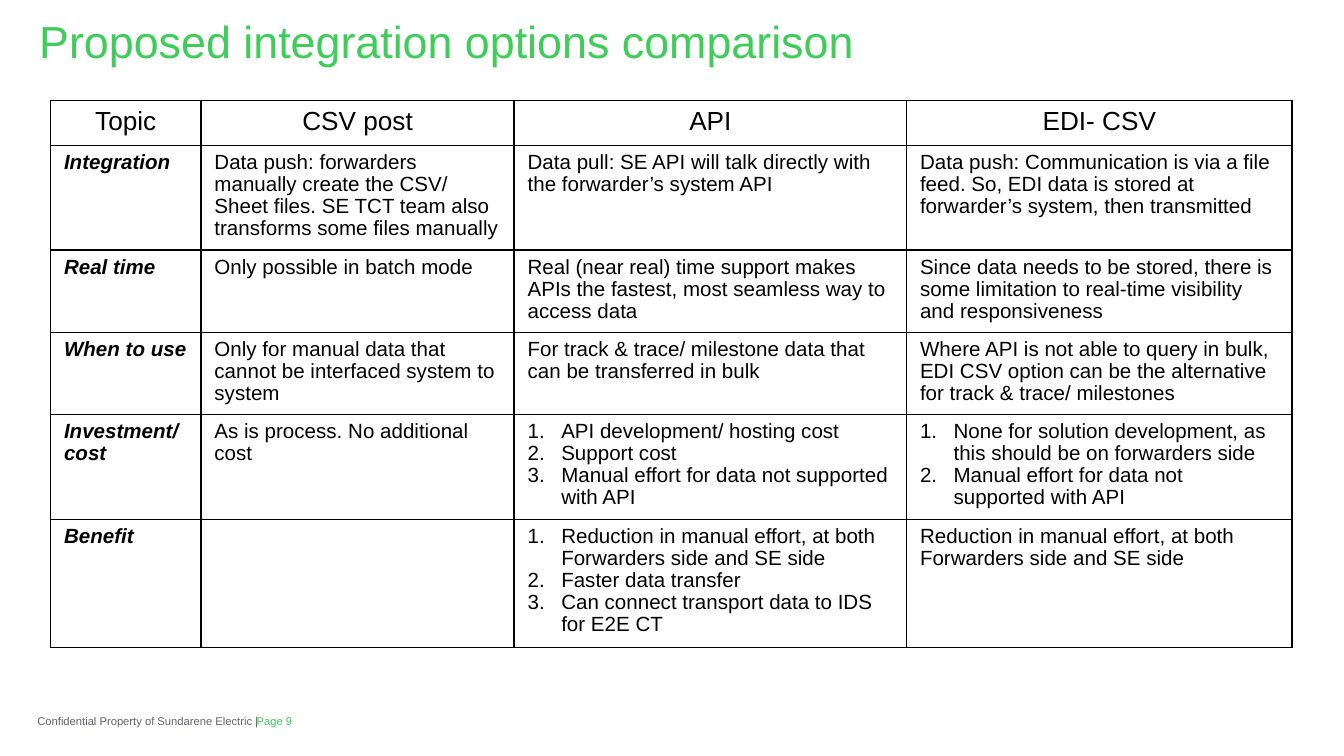
from dataclasses import dataclass

import pptx
import pptx.dml.color
import pptx.enum.text
import pptx.oxml
import pptx.oxml.ns
import pptx.util

Pt = pptx.util.Pt
RGB = pptx.dml.color.RGBColor.from_string
ALIGN = pptx.enum.text.PP_ALIGN
ANCHOR = pptx.enum.text.MSO_ANCHOR


@dataclass(frozen=True)
class Theme:
    """Colours, font and type sizes of the slide."""
    font: str = "Arial"
    green: str = "3DCD58"
    grey: str = "626469"
    black: str = "000000"
    title: float = 24
    header: float = 14
    body: float = 11
    footer: float = 6
    rule: float = 1


@dataclass(frozen=True)
class Box:
    """A region in points."""
    left: float
    top: float
    width: float
    height: float

    def lengths(self):
        """Return the four lengths for a python-pptx call."""
        return [Pt(v) for v in (self.left, self.top, self.width, self.height)]


THEME = Theme()
COLUMN_WIDTHS = [80.6, 167.8, 210.2, 206.6]
ROW_HEIGHTS = [24.1, 56.2, 44, 44, 56.2, 68.6]
HEADINGS = ["Topic", "CSV post", "API", "EDI- CSV"]
# A list of strings is a numbered list.
TOPICS = [
    ("Integration",
     "Data push: forwarders manually create the CSV/ Sheet files. "
     "SE TCT team also transforms some files manually",
     "Data pull: SE API will talk directly with the forwarder’s system API",
     "Data push: Communication is via a file feed. So, EDI data is stored at "
     "forwarder’s system, then transmitted"),
    ("Real time",
     "Only possible in batch mode",
     "Real (near real) time support makes APIs the fastest, most seamless way to access data",
     "Since data needs to be stored, there is some limitation to real-time "
     "visibility and responsiveness"),
    ("When to use",
     "Only for manual data that cannot be interfaced system to system",
     "For track & trace/ milestone data that can be transferred in bulk",
     "Where API is not able to query in bulk, EDI CSV option can be the "
     "alternative for track & trace/ milestones"),
    ("Investment/ cost",
     "As is process. No additional cost",
     ["API development/ hosting cost", "Support cost",
      "Manual effort for data not supported with API"],
     ["None for solution development, as this should be on forwarders side",
      "Manual effort for data not supported with API"]),
    ("Benefit",
     "",
     ["Reduction in manual effort, at both Forwarders side and SE side",
      "Faster data transfer", "Can connect transport data to IDS for E2E CT"],
     "Reduction in manual effort, at both Forwarders side and SE side"),
]


def add_run(paragraph, text, size, color, strong=False):
    """Add one formatted run; strong means bold italic."""
    run = paragraph.add_run()
    run.text = text
    run.font.name = THEME.font
    run.font.size = Pt(size)
    run.font.bold = run.font.italic = strong
    run.font.color.rgb = RGB(color)


def set_frame(frame, anchor):
    """Give a text frame no margins, wrapping and a fixed size."""
    frame.margin_left = frame.margin_right = frame.margin_top = frame.margin_bottom = 0
    frame.word_wrap = True
    frame.auto_size = pptx.enum.text.MSO_AUTO_SIZE.NONE
    frame.vertical_anchor = anchor


def set_indent(paragraph, margin, indent):
    """Set the left margin and first-line indent in points."""
    properties = paragraph._p.get_or_add_pPr()
    properties.set("marL", str(Pt(margin)))
    properties.set("indent", str(Pt(indent)))
    return properties


def add_title(slide, box, text):
    """Place the title placeholder in the box."""
    title = slide.shapes.title
    title.left, title.top, title.width, title.height = box.lengths()
    set_frame(title.text_frame, ANCHOR.TOP)
    paragraph = title.text_frame.paragraphs[0]
    paragraph.alignment = ALIGN.LEFT
    paragraph.line_spacing = 0.9
    paragraph.space_before = paragraph.space_after = Pt(5)
    set_indent(paragraph, 13.7, -12.2)
    add_run(paragraph, text, THEME.title, THEME.green)


def add_footer(slide, box, parts):
    """Place footer parts, each an offset, width, text and colour, in the box."""
    for offset, width, text, color in parts:
        part_box = Box(box.left + offset, box.top, width, box.height)
        frame = slide.shapes.add_textbox(*part_box.lengths()).text_frame
        set_frame(frame, ANCHOR.MIDDLE)
        add_run(frame.paragraphs[0], text, THEME.footer, color)


def set_borders(cell):
    """Draw a rule on all four sides of a cell without fill."""
    cell.fill.background()
    properties = cell._tc.get_or_add_tcPr()
    for position, side in enumerate(("lnL", "lnR", "lnT", "lnB")):
        properties.insert(position, pptx.oxml.parse_xml(
            f'<a:{side} {pptx.oxml.ns.nsdecls("a")} w="{Pt(THEME.rule)}"><a:solidFill>'
            f'<a:srgbClr val="{THEME.black}"/></a:solidFill></a:{side}>'))


def fill_cell(cell, content, heading, topic):
    """Write a text or a numbered list into a cell."""
    set_borders(cell)
    numbered = isinstance(content, list)
    for index, text in enumerate(content if numbered else [content]):
        frame = cell.text_frame
        paragraph = frame.add_paragraph() if index else frame.paragraphs[0]
        paragraph.alignment = ALIGN.CENTER if heading else ALIGN.LEFT
        if not heading:
            paragraph.line_spacing = 0.96
        if numbered:
            properties = set_indent(paragraph, 18, -18)
            properties.append(pptx.oxml.parse_xml(
                f'<a:buAutoNum {pptx.oxml.ns.nsdecls("a")} type="arabicPeriod"/>'))
        if text:
            size = THEME.header if heading else THEME.body
            add_run(paragraph, text, size, THEME.black, topic)


def add_comparison(slide, box, rows):
    """Place the comparison table in the box."""
    comparison = slide.shapes.add_table(len(rows), len(rows[0]), *box.lengths()).table
    comparison.first_row = comparison.horz_banding = False
    for column, width in zip(comparison.columns, COLUMN_WIDTHS):
        column.width = Pt(width)
    for r, (contents, height) in enumerate(zip(rows, ROW_HEIGHTS)):
        comparison.rows[r].height = Pt(height)
        for c, content in enumerate(contents):
            fill_cell(comparison.cell(r, c), content, r == 0, r > 0 and c == 0)


def build():
    """Build and save the slide."""
    deck = pptx.Presentation()
    deck.slide_width, deck.slide_height = Pt(720), Pt(405)
    slide = deck.slides.add_slide(deck.slide_layouts[5])
    add_title(slide, Box(19.5, 10.8, 681, 28.8), "Proposed integration options comparison")
    add_comparison(slide, Box(27.1, 53.8, sum(COLUMN_WIDTHS), sum(ROW_HEIGHTS)),
                   [HEADINGS, *TOPICS])
    add_footer(slide, Box(20, 382.5, 160, 7.2), [
        (0, 118.8, "Confidential Property of Sundarene Electric |", THEME.grey),
        (117.5, 41, "Page 9", THEME.green)])
    deck.save("out.pptx")


build()
